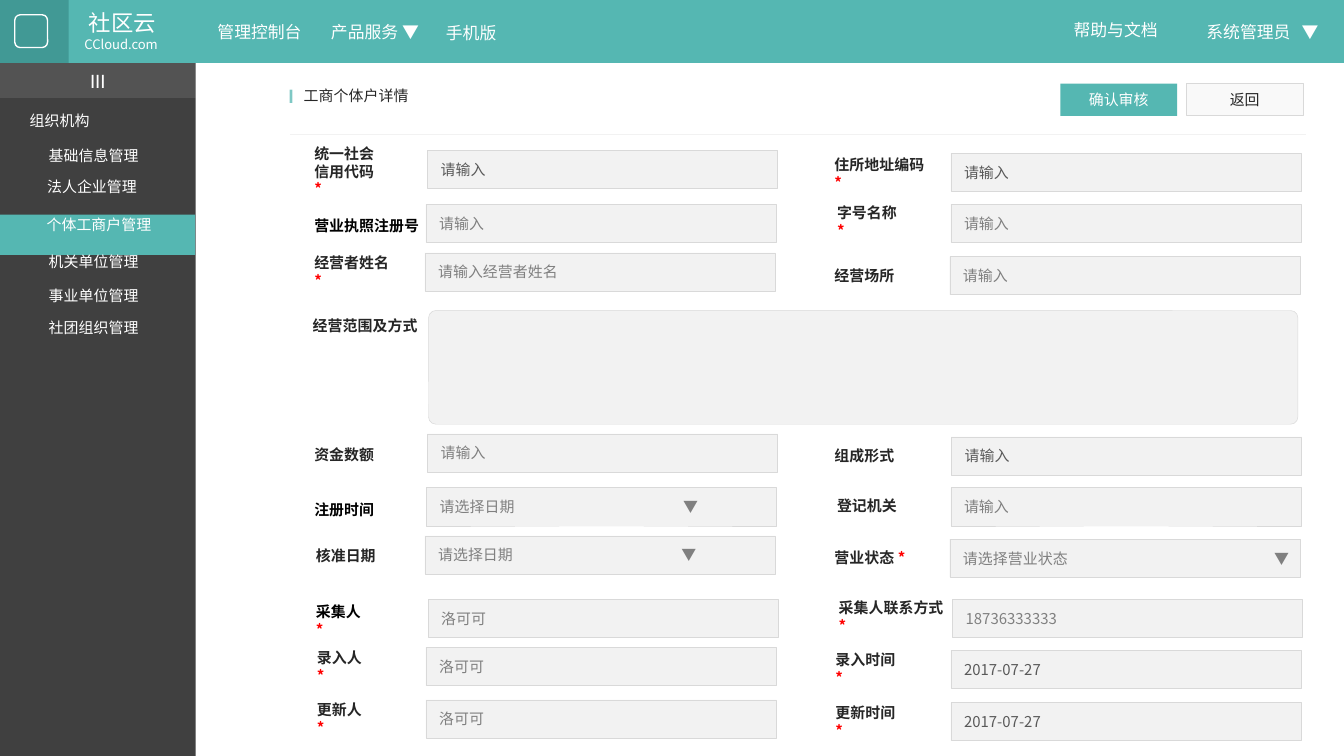
from lxml.etree import SubElement
from pptx import Presentation
from pptx.dml.color import RGBColor
from pptx.enum.shapes import MSO_CONNECTOR, MSO_SHAPE
from pptx.enum.text import MSO_ANCHOR, MSO_AUTO_SIZE, PP_ALIGN
from pptx.oxml.ns import qn
from pptx.util import Cm, Pt

COLORS = {
    "teal": "55B7B2", "deep_teal": "419995", "pale_teal": "7EC8C4",
    "sidebar": "404040", "white": "FFFFFF", "field": "F2F2F2",
    "border": "D9D9D9", "button": "F9F9F9", "ink": "262626",
    "black": "000000", "entered": "595959", "hint": "808080", "red": "FF0000",
}
CJK = "Noto Sans CJK SC"
FIELD_WIDTH, FIELD_HEIGHT = 6.62, 0.72
LABEL_HEIGHT = 0.61
BELOW, INLINE = "below", "inline"  # where the required mark stands

# label, required mark, label colour, label left/top, field left/top, value, value colour
FORM = [
    ("统一社会\n信用代码", BELOW, "ink", 5.69, 2.93, 8.08, 2.84, "请输入", "entered"),
    ("营业执照注册号", None, "black", 5.69, 3.96, 8.05, 3.86, "请输入", "hint"),
    ("经营者姓名", BELOW, "ink", 5.69, 4.83, 8.03, 4.78, "请输入经营者姓名", "hint"),
    ("资金数额", None, "ink", 5.69, 8.28, 8.08, 8.2, "请输入", "hint"),
    ("注册时间", None, "black", 5.69, 9.32, 8.06, 9.22, "请选择日期\t▼", "hint"),
    ("核准日期", None, "ink", 5.72, 10.19, 8.03, 10.13, "请选择日期\t▼", "hint"),
    ("采集人", BELOW, "black", 5.72, 11.43, 8.09, 11.33, "洛可可", "hint"),
    ("录入人", BELOW, "ink", 5.74, 12.29, 8.05, 12.24, "洛可可", "hint"),
    ("更新人", BELOW, "ink", 5.74, 13.28, 8.05, 13.23, "洛可可", "hint"),
    ("住所地址编码", BELOW, "ink", 15.52, 2.97, 17.97, 2.9, "请输入", "entered"),
    ("字号名称", BELOW, "ink", 15.57, 3.89, 17.97, 3.86, "请输入", "hint"),
    ("经营场所", None, "ink", 15.52, 4.9, 17.95, 4.85, "请输入", "hint"),
    ("组成形式", None, "ink", 15.52, 8.31, 17.98, 8.26, "请输入", "entered"),
    ("登记机关", None, "ink", 15.57, 9.25, 17.97, 9.22, "请输入", "hint"),
    ("营业状态", INLINE, "ink", 15.52, 10.24, 17.95, 10.19, "请选择营业状态", "hint"),
    ("采集人联系方式", BELOW, "ink", 15.6, 11.35, 18, 11.33, "18736333333", "hint"),
    ("录入时间", BELOW, "ink", 15.54, 12.34, 17.97, 12.29, "2017-07-27", "entered"),
    ("更新时间", BELOW, "ink", 15.54, 13.34, 17.97, 13.28, "2017-07-27", "entered"),
]

# entry, indent in cm, space before in points
MENU = [
    ("组织机构", 0, 0), ("基础信息管理", 0.36, 9.3), ("法人企业管理", 0.33, 7.1),
    ("个体工商户管理", 0.32, 10.7), ("机关单位管理", 0.36, 10),
    ("事业单位管理", 0.36, 8.6), ("社团组织管理", 0.36, 7.8),
]

# text, left, top, width, height, size
NAVIGATION = [
    ("管理控制台", 3.61, 0.28, 2.59, 0.64, 9),
    ("产品服务 ▼", 5.89, 0.28, 2.39, 0.64, 9),
    ("手机版", 7.9, 0.3, 2.01, 0.64, 9),
    ("帮助与文档", 19.89, 0.25, 2.39, 0.64, 9),
    ("社区云", 1.12, 0.05, 2.39, 0.76, 12),
    ("CCloud.com", 1.07, 0.56, 2.44, 0.56, 7),
]


class Page:
    """Holds the style and the slide being filled."""

    def __init__(self, slide):
        self.slide = slide

    def color(self, name):
        return RGBColor.from_string(COLORS[name])

    def style(self, run, size, color, bold, font):
        run.font.name = font
        run.font.size = Pt(size)
        run.font.bold = bold
        run.font.color.rgb = self.color(color)
        SubElement(run._r.get_or_add_rPr(), qn("a:ea"), typeface=CJK)

    def set_text(self, shape, text, size, color, align=PP_ALIGN.LEFT, bold=False,
                 font=CJK, anchor=MSO_ANCHOR.MIDDLE, insets=(0.25, 0.13)):
        frame = shape.text_frame
        frame.text = text
        frame.word_wrap = True
        frame.auto_size = MSO_AUTO_SIZE.NONE
        frame.vertical_anchor = anchor
        frame.margin_left = frame.margin_right = Cm(insets[0])
        frame.margin_top = frame.margin_bottom = Cm(insets[1])
        for paragraph in frame.paragraphs:
            paragraph.alignment = align
            for run in paragraph.runs:
                self.style(run, size, color, bold, font)
        return frame

    def box(self, left, top, width, height, fill=None, line=None, weight=0.25,
            kind=MSO_SHAPE.RECTANGLE):
        shape = self.slide.shapes.add_shape(kind, Cm(left), Cm(top), Cm(width), Cm(height))
        shape.shadow.inherit = False
        if fill:
            shape.fill.solid()
            shape.fill.fore_color.rgb = self.color(fill)
        else:
            shape.fill.background()
        if line:
            shape.line.color.rgb = self.color(line)
            shape.line.width = Pt(weight)
        else:
            shape.line.fill.background()
        return shape

    def text(self, text, left, top, width, height, size, color, **options):
        area = self.slide.shapes.add_textbox(Cm(left), Cm(top), Cm(width), Cm(height))
        return self.set_text(area, text, size, color, **options)

    def tab_stop(self, paragraph, position):
        stops = SubElement(paragraph._p.get_or_add_pPr(), qn("a:tabLst"))
        SubElement(stops, qn("a:tab"), pos=str(Cm(position)), algn="l")

    def label(self, text, mark, color, left, top):
        width = 0.29 * max(map(len, text.split("\n"))) + 0.55
        if mark == INLINE:
            width += 0.3
            text += " "
        elif mark == BELOW:
            text += "\n"
        frame = self.text(text, left, top, width, LABEL_HEIGHT, 8, color,
                          bold=True, insets=(0.25, 0))
        if mark:
            star = frame.paragraphs[-1].add_run()
            star.text = "*"
            self.style(star, 8, "red", True, CJK)

    def field(self, left, top, value, color):
        entry = self.box(left, top, FIELD_WIDTH, FIELD_HEIGHT, "field", "border")
        frame = self.set_text(entry, value, 8, color)
        if "\t" in value:
            self.tab_stop(frame.paragraphs[0], 4.6)

    def rule(self, left, right, top):
        line = self.slide.shapes.add_connector(
            MSO_CONNECTOR.STRAIGHT, Cm(left), Cm(top), Cm(right), Cm(top))
        line.line.color.rgb = self.color("field")
        line.line.width = Pt(0.25)
        SubElement(line._element.spPr, qn("a:effectLst"))

    def place(self, placeholder, left, top, width, height):
        """Move a placeholder to its spot and to the front."""
        placeholder.left, placeholder.top = Cm(left), Cm(top)
        placeholder.width, placeholder.height = Cm(width), Cm(height)
        placeholder.element.getparent().append(placeholder.element)

    def title(self, text):
        heading = self.slide.shapes.title
        self.place(heading, 5.49, 1.5, 4.8, 0.61)
        self.set_text(heading, text, 8, "ink", anchor=MSO_ANCHOR.TOP)

    def menu(self, entries):
        body = self.slide.placeholders[1]
        self.place(body, 0.38, 2.01, 3.3, 5)
        frame = self.set_text(body, "\n".join(entry for entry, _, _ in entries), 8, "white",
                              anchor=MSO_ANCHOR.TOP, insets=(0.18, 0.1))
        for paragraph, (_, indent, gap) in zip(frame.paragraphs, entries):
            properties = paragraph._p.get_or_add_pPr()
            properties.set("marL", str(Cm(indent)))
            properties.set("indent", "0")
            SubElement(properties, qn("a:buNone"))
            paragraph.space_before = Pt(gap)


def main():
    deck = Presentation()
    deck.slide_width, deck.slide_height = Cm(25.4), Cm(14.29)
    page = Page(deck.slides.add_slide(deck.slide_layouts[1]))
    center = PP_ALIGN.CENTER

    page.box(0, 1.17, 3.7, 13.12, "sidebar")
    toggle = page.box(0, 1.19, 3.7, 0.66, "white")
    tint = toggle._element.spPr.find(qn("a:solidFill"))[0]
    SubElement(tint, qn("a:alpha"), val="10000")
    page.set_text(toggle, "III", 11, "white", align=center, font="Calibri")
    page.box(0, 4.06, 3.69, 0.76, "teal")

    page.box(0, 0, 25.4, 1.19, "teal")
    page.box(0, 0, 1.3, 1.19, "deep_teal")
    page.box(0.28, 0.28, 0.62, 0.62, line="white", weight=0.75,
             kind=MSO_SHAPE.ROUNDED_RECTANGLE)
    for text, left, top, width, height, size in NAVIGATION:
        page.text(text, left, top, width, height, size, "white",
                  align=center, insets=(0.1, 0.08))
    account = page.text("系统管理员\t▼", 22.7, 0.28, 2.6, 0.64, 9, "white", insets=(0.1, 0.08))
    page.tab_stop(account.paragraphs[0], 1.8)

    page.text("I", 5.11, 1.45, 0.79, 0.69, 11, "pale_teal", align=center,
              bold=True, font="Calibri")
    page.rule(5.49, 24.69, 2.54)
    confirm = page.box(20.04, 1.58, 2.21, 0.61, "teal")
    page.set_text(confirm, "确认审核", 8, "white", align=center)
    back = page.box(22.42, 1.57, 2.21, 0.61, "button", "border")
    page.set_text(back, "返回", 8, "ink", align=center)

    for label, mark, color, left, top, field_left, field_top, value, value_color in FORM:
        page.field(field_left, field_top, value, value_color)
        page.label(label, mark, color, left, top)
    page.text("▼", 23.83, 10.26, 0.8, 0.61, 8, "hint", bold=True)

    page.label("经营范围及方式", None, "ink", 5.66, 5.84)
    scope = page.box(8.1, 5.87, 16.43, 2.15, "field", "border",
                     kind=MSO_SHAPE.ROUNDED_RECTANGLE)
    scope.adjustments[0] = 0.065

    page.title("工商个体户详情")
    page.menu(MENU)
    deck.save("out.pptx")


if __name__ == "__main__":
    main()
